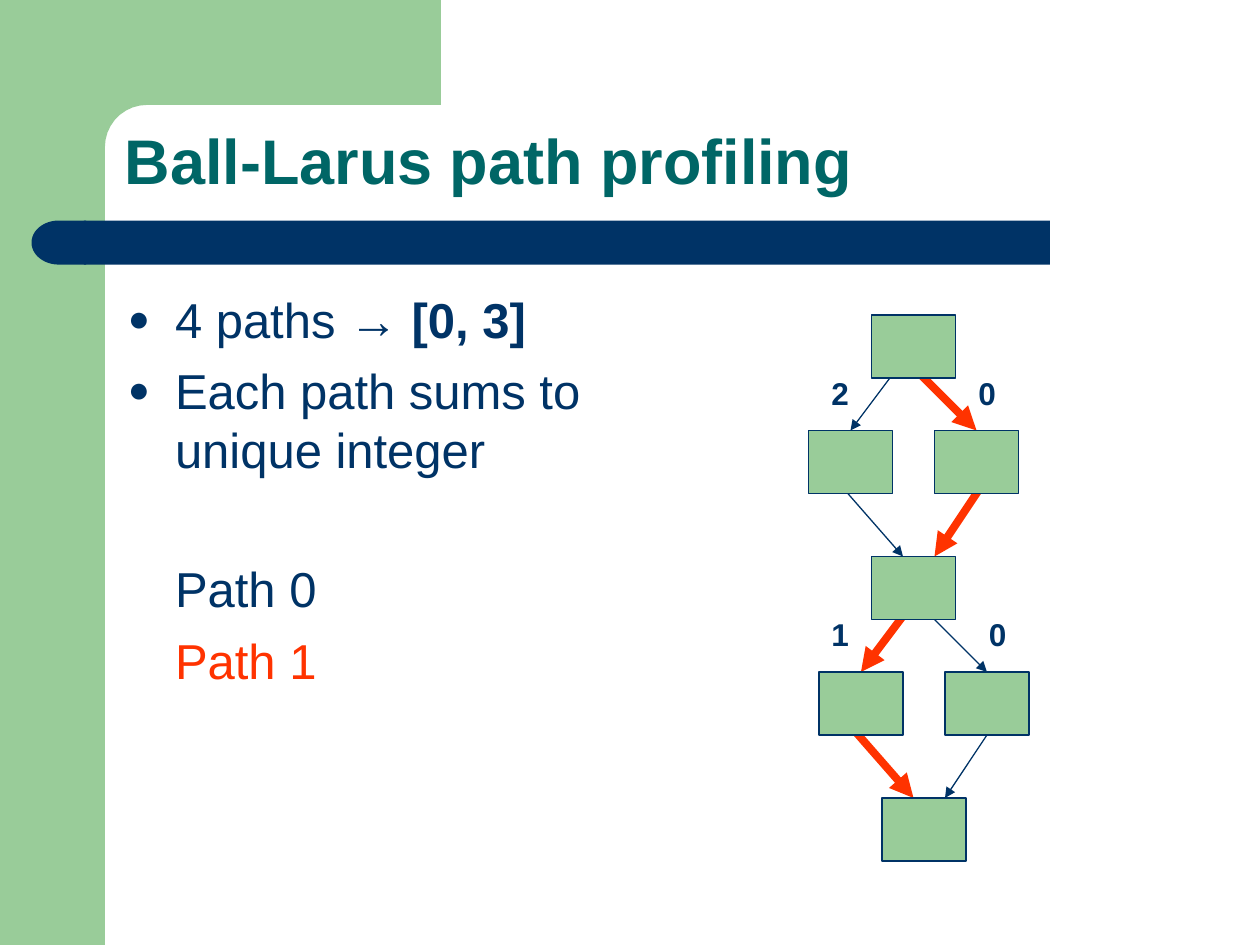
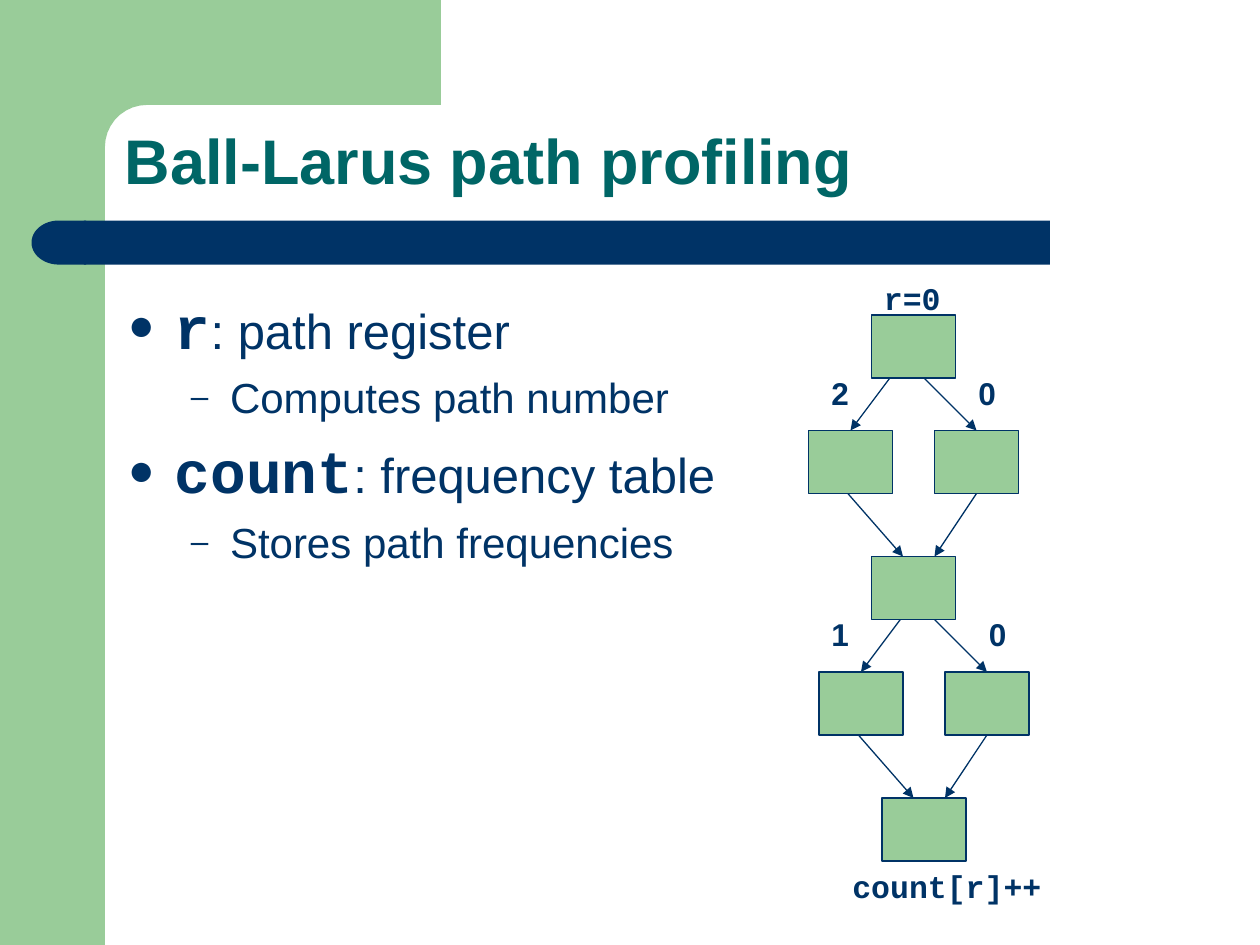
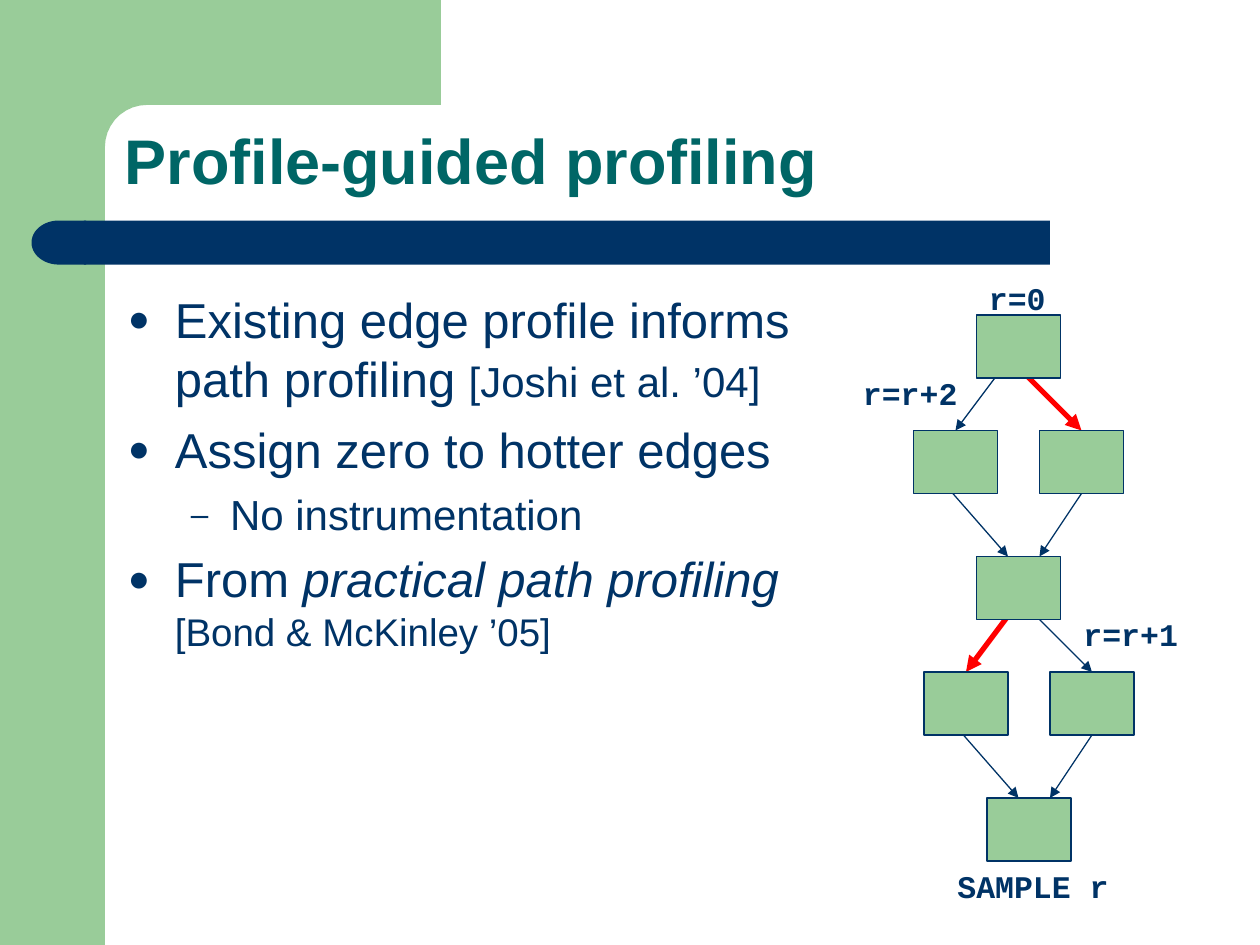
import dataclasses
import math

import lxml.etree
import pptx
import pptx.dml.color
import pptx.enum.shapes
import pptx.enum.text
import pptx.oxml.ns
import pptx.util

SHAPES = pptx.enum.shapes.MSO_SHAPE


@dataclasses.dataclass(frozen=True)
class Theme:
    green: str = "99CC99"
    navy: str = "003366"
    teal: str = "006666"
    orange: str = "FF3300"
    red: str = "FF0000"
    sans: str = "Arial"
    mono: str = "Courier New"
    title: int = 36
    code: int = 34
    body: int = 28
    detail: int = 24
    citation: int = 22
    label: int = 18
    thin: float = 0.74


THEME = Theme()
NODES = [(6, 30), (0, 41), (12, 41), (6, 53), (1, 64), (13, 64), (7, 76)]
EDGES = [
    (10, 33, 4, 41), (9, 34, 16, 41), (2, 45, 9, 53), (18, 44, 12, 53),
    (11, 56, 5, 64), (9, 56, 17, 64), (3, 68, 10, 76), (19, 67, 13, 76),
]
EDGE_VALUES = [("2", 1, 35, 4), ("0", 15, 35, 4), ("1", 1, 58, 4), ("0", 16, 58, 4)]


def step(count):
    return pptx.util.Cm(count * 25.4 / 120)


def rgb(color):
    return pptx.dml.color.RGBColor.from_string(color)


def add_xml(parent, tag, **attributes):
    child = lxml.etree.SubElement(parent, pptx.oxml.ns.qn(tag))
    for name, value in attributes.items():
        child.set(name, str(value))
    return child


def write(para, text, size=THEME.body, font=THEME.sans, color=THEME.navy, bold=False, italic=False):
    span = para.add_run()
    span.text = text
    span.font.size = pptx.util.Pt(size)
    span.font.name = font
    span.font.bold = bold
    span.font.italic = italic
    span.font.color.rgb = rgb(color)


class Painter:
    """Draws the elements of a slide in the deck's style."""

    def __init__(self, deck):
        self.deck = deck
        self.page = None

    def start(self, title):
        self.page = self.deck.slides.add_slide(self.deck.slide_layouts[6])
        self.shape(SHAPES.RECTANGLE, 0, 0, 10, 90, THEME.green)
        self.corner()
        bar = self.shape(SHAPES.ROUNDED_RECTANGLE, 8, 21, 92, 4.2, THEME.navy)
        bar.adjustments[0] = 0
        cap = self.shape(SHAPES.FLOWCHART_DELAY, 3, 21, 5.2, 4.2, THEME.navy)
        cap._element.spPr.find(pptx.oxml.ns.qn("a:xfrm")).set("flipH", "1")
        frame = self.box(10.7, 10.7, 102.7, 8.8)
        frame.vertical_anchor = pptx.enum.text.MSO_ANCHOR.BOTTOM
        frame.paragraphs[0].line_spacing = 0.9
        write(frame.paragraphs[0], title, size=THEME.title, color=THEME.teal, bold=True)

    def paint(self, shape, fill, line=None):
        shape.shadow.inherit = False
        shape.fill.solid()
        shape.fill.fore_color.rgb = rgb(fill)
        if line:
            shape.line.color.rgb = rgb(line)
            shape.line.width = pptx.util.Pt(THEME.thin)
        else:
            shape.line.fill.background()
        return shape

    def shape(self, kind, left, top, width, height, fill, line=None):
        lengths = map(step, (left, top, width, height))
        return self.paint(self.page.shapes.add_shape(kind, *lengths), fill, line)

    def corner(self):
        angles = [math.radians(degrees) for degrees in range(0, 91, 10)]
        arc = [(14 - 4 * math.sin(a), 14 - 4 * math.cos(a)) for a in angles]
        points = [(42, 0), (42, 10), *arc, (10, 15.4), (6, 15.4)]
        builder = self.page.shapes.build_freeform(step(6), 0)
        builder.add_line_segments([(step(x), step(y)) for x, y in points], close=True)
        self.paint(builder.convert_to_shape(), THEME.green)

    def box(self, left, top, width, height, wrap=True):
        frame = self.page.shapes.add_textbox(*map(step, (left, top, width, height))).text_frame
        frame.word_wrap = wrap
        return frame

    def label(self, text, left, top, width, font=THEME.sans):
        frame = self.box(left, top, width, 4.8, wrap=False)
        write(frame.paragraphs[0], text, size=THEME.label, font=font, bold=True)

    def body(self, width, items):
        frame = self.box(11, 27, width, 53)
        for index, (bullet, before, spans) in enumerate(items):
            para = frame.add_paragraph() if index else frame.paragraphs[0]
            para.space_before = pptx.util.Pt(before)
            self.indent(para, bullet)
            for text, style in spans:
                for number, line in enumerate(text.split("\n")):
                    if number:
                        para.add_line_break()
                    write(para, line, **style)

    def indent(self, para, bullet):
        margin, hanging = (2.06, 0.79) if bullet == "–" else (0.95, 0.95)
        properties = para._p.get_or_add_pPr()
        properties.set("marL", str(pptx.util.Cm(margin)))
        properties.set("indent", str(-pptx.util.Cm(hanging) if bullet else 0))
        if bullet:
            add_xml(add_xml(properties, "a:buClr"), "a:srgbClr", val=THEME.navy)
            add_xml(properties, "a:buSzPct", val=75000)
            add_xml(properties, "a:buFont", typeface=THEME.sans)
            add_xml(properties, "a:buChar", char=bullet)

    def arrow(self, ends, color, weight):
        line = self.page.shapes.add_connector(
            pptx.enum.shapes.MSO_CONNECTOR.STRAIGHT, *map(step, ends))
        line.line.color.rgb = rgb(color)
        line.line.width = pptx.util.Pt(weight)
        add_xml(line.line._get_or_add_ln(), "a:tailEnd", type="triangle")
        add_xml(line._element.spPr, "a:effectLst")

    def flow_graph(self, left, hot=(), color=THEME.navy, weight=THEME.thin, values=(), code=()):
        for index, (x1, y1, x2, y2) in enumerate(EDGES):
            style = (color, weight) if index in hot else (THEME.navy, THEME.thin)
            self.arrow((left + x1, y1, left + x2, y2), *style)
        for x, y in NODES:
            self.shape(SHAPES.RECTANGLE, left + x, y, 8, 6, THEME.green, THEME.navy)
        for font, labels in ((THEME.sans, values), (THEME.mono, code)):
            for text, x, y, width in labels:
                self.label(text, left + x, y, width, font)


def main():
    deck = pptx.Presentation()
    deck.slide_width, deck.slide_height = step(120), step(90)
    painter = Painter(deck)
    code = {"size": THEME.code, "font": THEME.mono, "bold": True}
    detail = {"size": THEME.detail}

    painter.start("Ball-Larus path profiling")
    painter.body(63, [
        ("●", 7, [("4 paths → ", {}), ("[0, 3]", {"bold": True})]),
        ("●", 7, [("Each path sums to\nunique integer", {})]),
        ("", 46, [("Path 0", {})]),
        ("", 7, [("Path 1", {"color": THEME.orange})]),
    ])
    painter.flow_graph(77, (1, 3, 4, 6), THEME.orange, 4.5, values=EDGE_VALUES)

    painter.start("Ball-Larus path profiling")
    painter.body(60, [
        ("●", 7, [("r", code), (": path register", {})]),
        ("–", 6, [("Computes path number", detail)]),
        ("●", 7, [("count", code), (": frequency table", {})]),
        ("–", 6, [("Stores path frequencies", detail)]),
    ])
    painter.flow_graph(77, values=EDGE_VALUES,
                       code=[("r=0", 6, 26, 7.8), ("count[r]++", 3, 82, 20.4)])

    painter.start("Profile-guided profiling")
    painter.body(73, [
        ("●", 6, [("Existing edge profile informs path profiling ", {}),
                  ("[Joshi et al. ’04]", detail)]),
        ("●", 7, [("Assign zero to hotter edges", {})]),
        ("–", 6, [("No instrumentation", detail)]),
        ("●", 5.5, [("From ", {}), ("practical path profiling ", {"italic": True}),
                    ("[Bond & McKinley ’05]", {"size": THEME.citation})]),
    ])
    painter.flow_graph(87, (1, 4), THEME.red, 3, code=[
        ("r=r+2", -6, 35, 11.4), ("r=0", 6, 26, 7.8),
        ("r=r+1", 15, 58, 11.4), ("SAMPLE r", 3, 82, 16.8),
    ])

    deck.save("out.pptx")


main()
